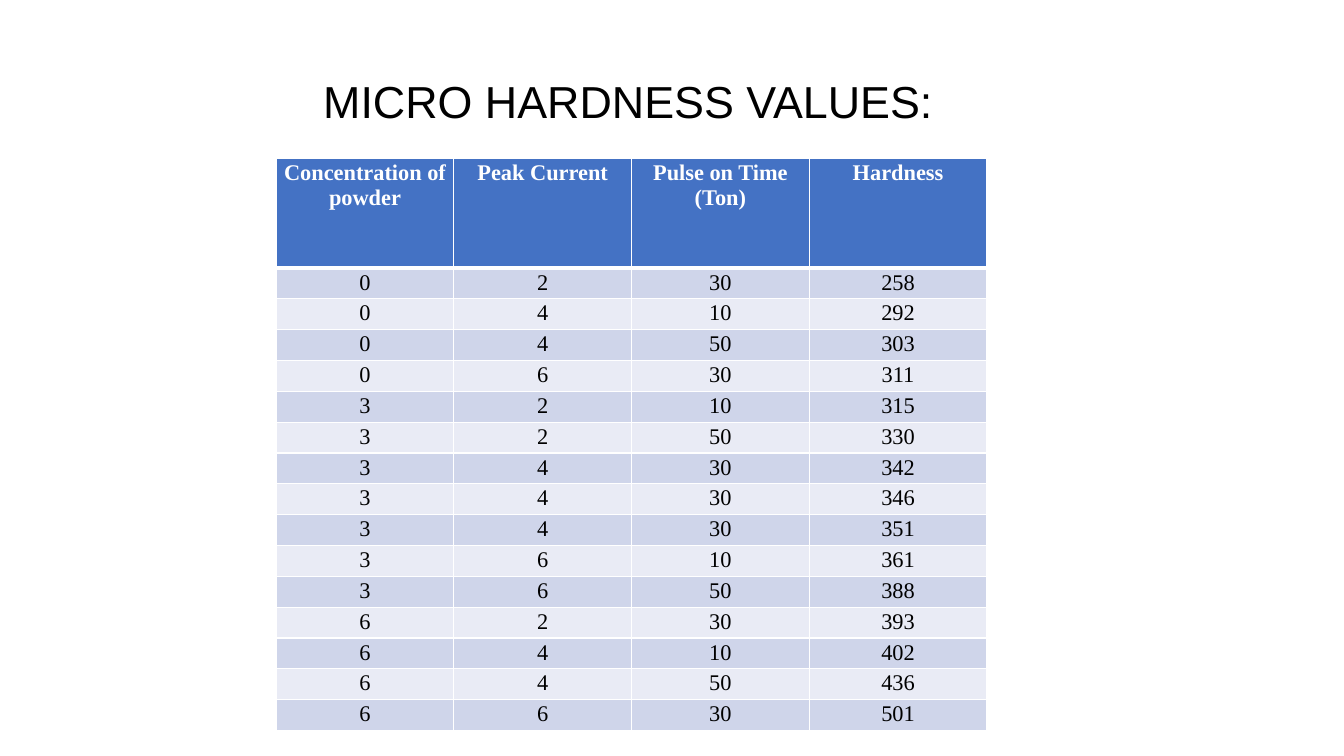
from lxml.etree import SubElement
from pptx import Presentation
from pptx.dml.color import RGBColor
from pptx.enum.text import PP_ALIGN
from pptx.oxml.ns import qn
from pptx.util import Inches, Pt

SLIDE_WIDTH, SLIDE_HEIGHT = Inches(13.33), Inches(7.5)
BLACK = RGBColor(0x00, 0x00, 0x00)
WHITE = RGBColor(0xFF, 0xFF, 0xFF)
HEADER_BLUE = RGBColor(0x44, 0x72, 0xC4)
BANDS = (RGBColor(0xE9, 0xEB, 0xF5), RGBColor(0xCF, 0xD5, 0xEA))

HEADINGS = ("Concentration of powder", "Peak Current", "Pulse on Time (Ton)", "Hardness")
MEASUREMENTS = (
    (0, 2, 30, 258), (0, 4, 10, 292), (0, 4, 50, 303), (0, 6, 30, 311),
    (3, 2, 10, 315), (3, 2, 50, 330), (3, 4, 30, 342), (3, 4, 30, 346),
    (3, 4, 30, 351), (3, 6, 10, 361), (3, 6, 50, 388), (6, 2, 30, 393),
    (6, 4, 10, 402), (6, 4, 50, 436), (6, 6, 30, 501),
)


def across(percent):
    """Return a percentage of the slide width."""
    return round(SLIDE_WIDTH * percent / 100)


def down(percent):
    """Return a percentage of the slide height."""
    return round(SLIDE_HEIGHT * percent / 100)


def write(text_frame, text, font_name, size, color, bold=False):
    """Put one centred, formatted line of text in a text frame."""
    text_frame.word_wrap = True
    text_frame.text = text
    paragraph = text_frame.paragraphs[0]
    paragraph.alignment = PP_ALIGN.CENTER
    font = paragraph.runs[0].font
    font.name, font.size, font.bold = font_name, Pt(size), bold
    font.color.rgb = color


def add_title(slide, text):
    """Add the slide heading."""
    title = slide.shapes.add_textbox(across(8.63), down(9.07), across(76.22), down(8.53))
    write(title.text_frame, text, "Arial", 32, BLACK)


def set_borders(cell, top, bottom):
    """Draw white cell borders; the top and bottom widths are in points."""
    properties = cell._tc.get_or_add_tcPr()
    widths = {"a:lnL": 1, "a:lnR": 1, "a:lnT": top, "a:lnB": bottom}
    for position, (tag, width) in enumerate(widths.items()):
        line = SubElement(properties, qn(tag), w=str(Pt(width)))
        fill = SubElement(line, qn("a:solidFill"))
        SubElement(fill, qn("a:srgbClr"), val=str(WHITE))
        properties.insert(position, line)


def style_cell(cell, text, row):
    """Fill in one cell as a heading or as part of a banded row."""
    is_header = row == 0
    cell.margin_left = cell.margin_right = Inches(0.04)
    cell.margin_top = cell.margin_bottom = Inches(0.02)
    write(cell.text_frame, text, "Times New Roman", 16,
          WHITE if is_header else BLACK, is_header)
    cell.fill.solid()
    cell.fill.fore_color.rgb = HEADER_BLUE if is_header else BANDS[row % 2]
    set_borders(cell, top=3 if row == 1 else 1, bottom=3 if is_header else 1)


def add_hardness_table(slide):
    """Add the table with a tall header and equal measurement rows."""
    records = (HEADINGS, *MEASUREMENTS)
    width, height, header_height = across(52.89), down(75.73), down(14.53)
    table = slide.shapes.add_table(
        len(records), len(HEADINGS), across(20.55), down(20.93), width, height).table
    for column in table.columns:
        column.width = width // len(HEADINGS)
    row_height = (height - header_height) // len(MEASUREMENTS)
    for row, record in enumerate(records):
        table.rows[row].height = row_height if row else header_height
        for column, value in enumerate(record):
            style_cell(table.cell(row, column), str(value), row)


def main():
    """Build and save the hardness slide."""
    presentation = Presentation()
    presentation.slide_width, presentation.slide_height = SLIDE_WIDTH, SLIDE_HEIGHT
    slide = presentation.slides.add_slide(presentation.slide_layouts[6])
    add_hardness_table(slide)
    add_title(slide, "MICRO HARDNESS VALUES:")
    presentation.save("out.pptx")


main()
